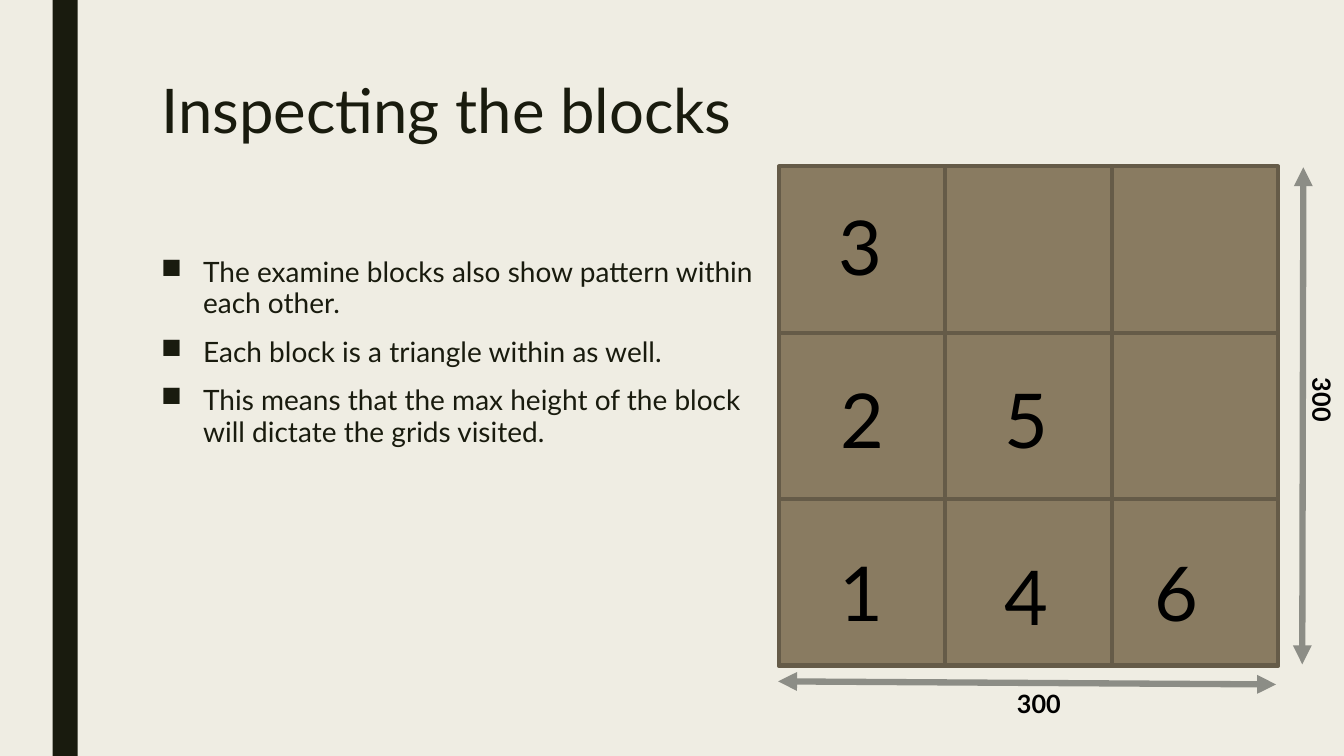
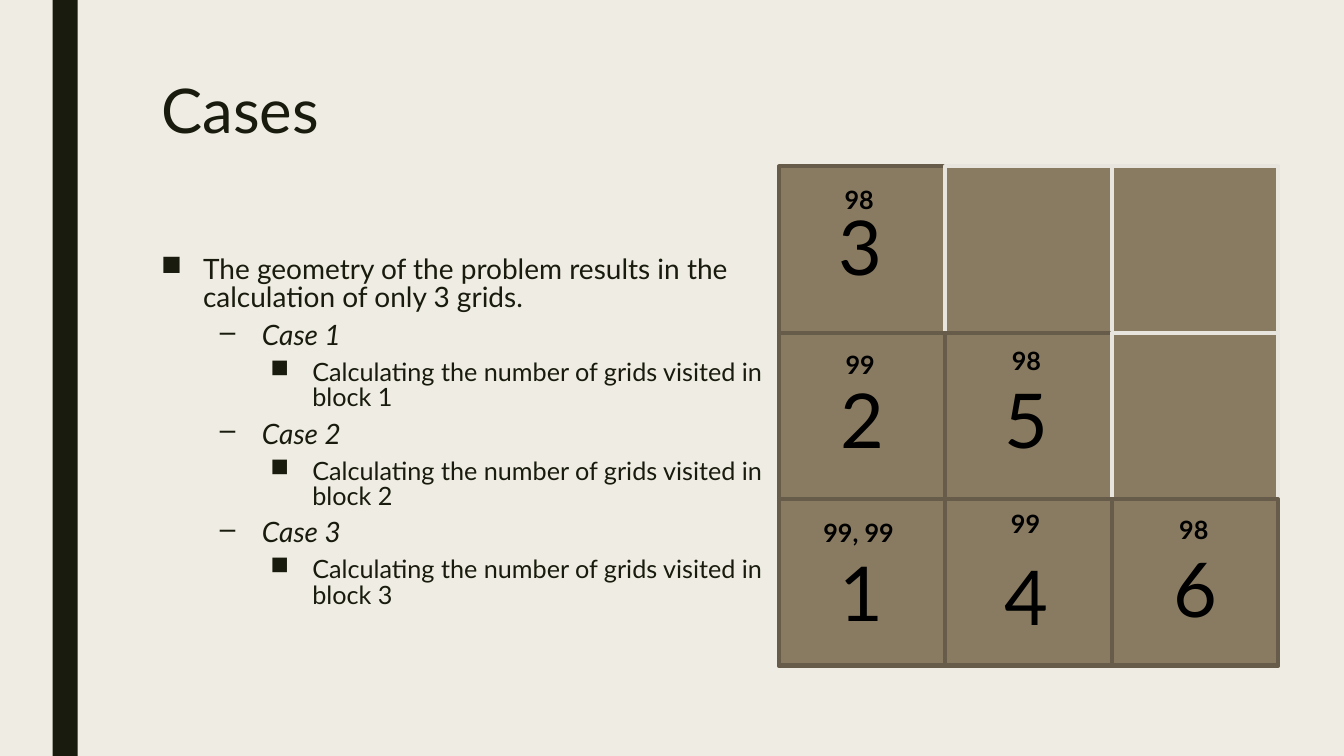
"""Build two slides that explain the numbered blocks of a square grid."""
from dataclasses import dataclass

from lxml.etree import SubElement
from pptx import Presentation
from pptx.dml.color import RGBColor
from pptx.enum.shapes import MSO_CONNECTOR, MSO_SHAPE
from pptx.enum.text import MSO_ANCHOR, MSO_AUTO_SIZE, PP_ALIGN
from pptx.oxml.ns import qn
from pptx.util import Pt

FONT = "Lato"
INK, PAPER, BLACK = "191B0E", "EFEDE3", "000000"
BLOCK, EDGE, VISITED, UNVISITED = "897B61", "655B48", "675C49", "E8E5DF"
ARROW = "8C8D86"
GRID_LEFT, GRID_TOP, CELL, GRID_COUNT = 556.5, 118.8, 118.8, 3


@dataclass(frozen=True)
class Level:
    """Format of one bullet level."""
    mark: str
    indent: float
    size: float
    before: float
    italic: bool = False


@dataclass(frozen=True)
class Bullet:
    """One line of the bullet list."""
    text: str
    level: int = 0


@dataclass(frozen=True)
class Label:
    """Text with its place on the slide."""
    text: str
    left: float
    top: float
    width: float = 46.8
    height: float = 72.7
    size: float = 54
    bold: bool = False
    align: PP_ALIGN = PP_ALIGN.CENTER
    wrap: bool = False
    vertical: bool = False


@dataclass(frozen=True)
class Arrow:
    """Double-headed arrow between two points."""
    start: tuple[float, float]
    end: tuple[float, float]


LEVELS = (
    Level("■", 30, 20, 10),
    Level("–", 72, 20, 5, italic=True),
    Level("■", 108, 18, 5),
)
INSPECTION = [
    Bullet("The examine blocks also show pattern within each other."),
    Bullet("Each block is a triangle within as well."),
    Bullet("This means that the max height of the block will dictate the grids visited."),
]
CASES = [Bullet("The geometry of the problem results in the calculation of only 3 grids.")]
for number in range(1, 4):
    CASES += [
        Bullet(f"Case {number}", 1),
        Bullet(f"Calculating the number of grids visited in block {number}", 2),
    ]

DIGITS = [
    Label("1", 591.8, 386.6),
    Label("2", 592.6, 262.8),
    Label("3", 591.1, 139),
    Label("4", 709.9, 389.5),
    Label("5", 709.9, 262.8),
]


def small_label(text: str, left: float, top: float, width: float = 36,
                height: float = 28.8, **options) -> Label:
    """Return a small bold label."""
    return Label(text, left, top, width, height, size=18, bold=True,
                 align=PP_ALIGN.LEFT, **options)


COUNTS = [
    small_label("99, 99", 581, 365.8, 66.2),
    small_label("99", 596.9, 246.2),
    small_label("98", 596.2, 128.2),
    small_label("99", 715, 359.3),
    small_label("98", 715.7, 243.4),
    small_label("98", 835.2, 363.6),
]
LENGTHS = [
    small_label("300", 719.3, 488.2, 51.1, wrap=True),
    small_label("300", 923, 262.8, 36, 51.8, wrap=True, vertical=True),
]
ARROWS = [
    Arrow((555.8, 486.7), (911.5, 488.9)),
    Arrow((930.2, 474.5), (931, 119.5)),
]


def colour(value: str) -> RGBColor:
    """Turn a hex string into a colour."""
    return RGBColor.from_string(value)


def write(para, text: str, *, size: float, ink: str = INK,
          bold: bool = False, italic: bool = False) -> None:
    """Add a formatted span to a paragraph."""
    span = para.add_run()
    span.text = text
    font = span.font
    font.name, font.size, font.bold, font.italic = FONT, Pt(size), bold, italic
    font.color.rgb = colour(ink)


def add_rectangle(shapes, left: float, top: float, width: float, height: float,
                  fill: str, line: str | None = None) -> None:
    """Draw a flat rectangle with an optional outline."""
    box = shapes.add_shape(MSO_SHAPE.RECTANGLE, Pt(left), Pt(top), Pt(width), Pt(height))
    box.shadow.inherit = False
    box.fill.solid()
    box.fill.fore_color.rgb = colour(fill)
    if line is None:
        box.line.fill.background()
    else:
        box.line.color.rgb = colour(line)
        box.line.width = Pt(2.75)


def add_arrow(shapes, arrow: Arrow) -> None:
    """Draw a connector with a triangle at both ends."""
    points = [Pt(value) for value in (*arrow.start, *arrow.end)]
    connector = shapes.add_connector(MSO_CONNECTOR.STRAIGHT, *points)
    connector.line.color.rgb = colour(ARROW)
    connector.line.width = Pt(4.5)
    properties = connector.element.spPr
    for end in ("a:headEnd", "a:tailEnd"):
        SubElement(properties.find(qn("a:ln")), qn(end), type="triangle")
    SubElement(properties, qn("a:effectLst"))


def add_label(shapes, label: Label) -> None:
    """Place a label in its own text box."""
    box = shapes.add_textbox(Pt(label.left), Pt(label.top), Pt(label.width), Pt(label.height))
    frame = box.text_frame
    frame.word_wrap = label.wrap
    frame.auto_size = MSO_AUTO_SIZE.SHAPE_TO_FIT_TEXT
    if label.vertical:
        box.element.txBody.bodyPr.set("vert", "eaVert")
    para = frame.paragraphs[0]
    para.alignment = label.align
    write(para, label.text, size=label.size, ink=BLACK, bold=label.bold)


def add_bullets(shapes, bullets: list[Bullet], spacing: float) -> None:
    """Write the bullet list to the left of the grid."""
    frame = shapes.add_textbox(Pt(108), Pt(180), Pt(448), Pt(282)).text_frame
    frame.word_wrap = True
    for index, bullet in enumerate(bullets):
        para = frame.add_paragraph() if index else frame.paragraphs[0]
        level = LEVELS[bullet.level]
        para.level = bullet.level
        para.line_spacing = spacing
        para.space_before, para.space_after = Pt(level.before), Pt(2)
        properties = para._p.get_or_add_pPr()
        properties.set("marL", str(Pt(level.indent)))
        properties.set("indent", str(Pt(-30)))
        SubElement(properties, qn("a:buChar"), char=level.mark)
        write(para, bullet.text, size=level.size, italic=level.italic)


def add_grid(slide, lower: str, upper: str):
    """Draw the grid with one outline on and below its diagonal and one above."""
    shapes = slide.shapes.add_group_shape().shapes
    side = CELL * GRID_COUNT
    add_rectangle(shapes, GRID_LEFT, GRID_TOP + 0.7, side, side, BLOCK, EDGE)
    for row in range(GRID_COUNT):
        for column in range(GRID_COUNT):
            add_rectangle(shapes, GRID_LEFT + column * CELL, GRID_TOP + row * CELL,
                          CELL, CELL, BLOCK, lower if column <= row else upper)
    return shapes


def add_page(deck, heading: str):
    """Add a slide with the shared background, band and title."""
    page = deck.slides.add_slide(deck.slide_layouts[5])
    add_rectangle(page.shapes, 37.5, 0, 18, 540, INK)
    title = page.shapes.title
    title.left, title.top, title.width, title.height = Pt(108), Pt(54), Pt(756), Pt(116.6)
    frame = title.text_frame
    frame.vertical_anchor = MSO_ANCHOR.TOP
    frame.word_wrap = True
    frame.auto_size = MSO_AUTO_SIZE.NONE
    para = frame.paragraphs[0]
    para.alignment = PP_ALIGN.LEFT
    para.line_spacing = 0.89
    write(para, heading, size=44)
    return page


def main() -> None:
    """Build and save the deck."""
    deck = Presentation()
    deck.slide_width, deck.slide_height = Pt(960), Pt(540)
    background = deck.slide_master.background.fill
    background.solid()
    background.fore_color.rgb = colour(PAPER)

    page = add_page(deck, "Inspecting the blocks")
    add_bullets(page.shapes, INSPECTION, 0.94)
    grid = add_grid(page, EDGE, EDGE)
    for arrow in ARROWS:
        add_arrow(grid, arrow)
    for label in [*LENGTHS, *DIGITS, Label("6", 817.2, 386.6)]:
        add_label(page.shapes, label)

    page = add_page(deck, "Cases")
    add_bullets(page.shapes, CASES, 0.84)
    add_grid(page, VISITED, UNVISITED)
    for label in [*DIGITS, Label("6", 830.2, 383.8), *COUNTS]:
        add_label(page.shapes, label)

    deck.save("out.pptx")


if __name__ == "__main__":
    main()
